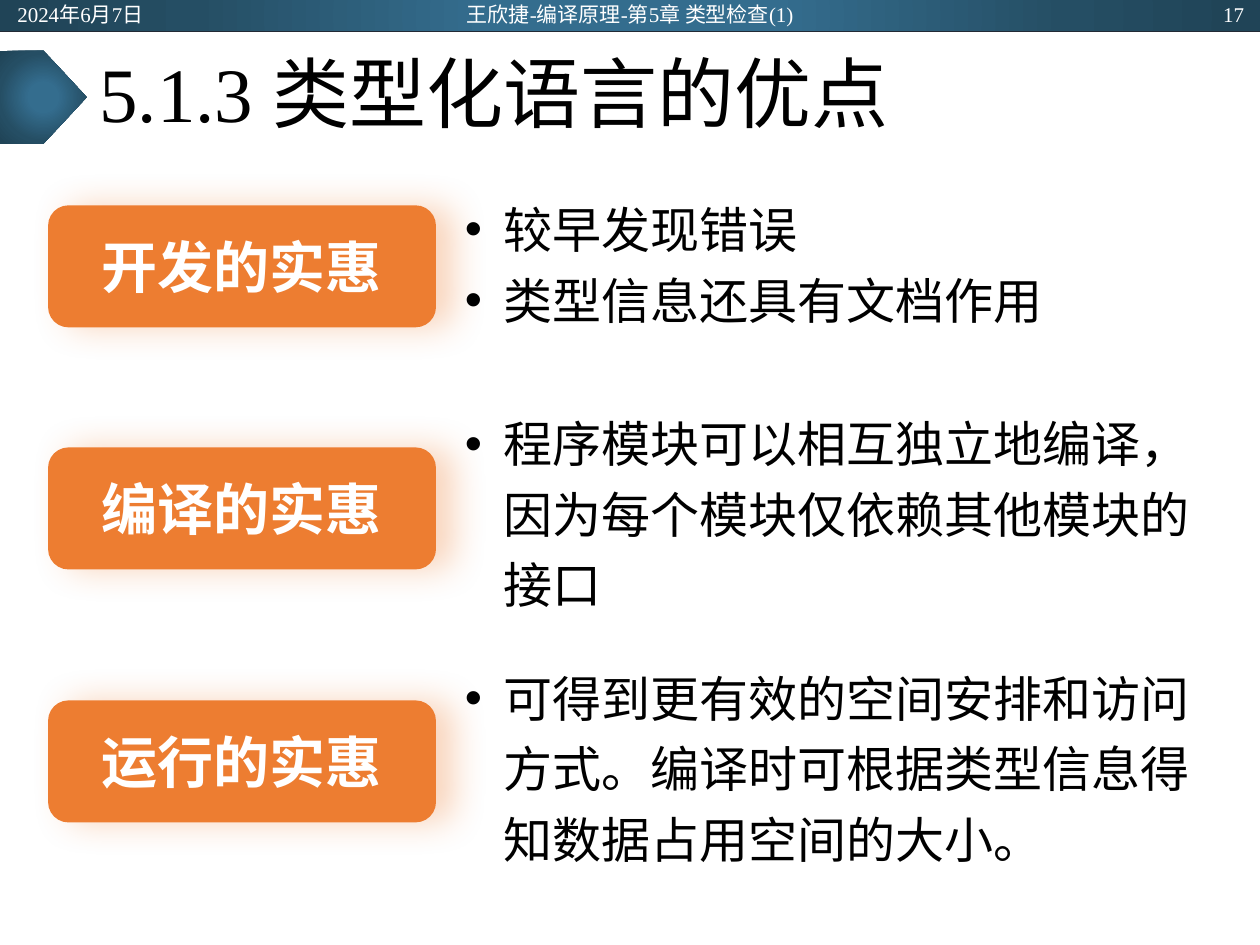
from dataclasses import dataclass

from lxml import etree
from pptx import Presentation
from pptx import util as u
from pptx.dml.color import RGBColor
from pptx.enum import shapes, text
from pptx.oxml import parse_xml
from pptx.oxml.ns import nsdecls, qn

COLORS = {
    "orange": "ED7D31",
    "white": "FFFFFF",
    "black": "000000",
    "rule": "222A35",
}
BLUE_STOPS = {0: "346D8E", 23: "346D8E", 69: "254E64", 97: "204457"}

SERIF, SANS = "Times New Roman", "Arial"
HEADER_FORMAT = {"size": u.Pt(12), "name": SERIF}
TITLE_FORMAT = {"size": u.Pt(44), "name": SERIF}
LABEL_FORMAT = {"size": u.Pt(32), "name": SERIF, "bold": True}
BODY_FORMAT = {"size": u.Pt(28), "name": SANS}
ALIGN = text.PP_ALIGN


@dataclass
class HeaderItem:
    wording: str
    left: float
    width: float
    alignment: text.PP_ALIGN


@dataclass
class Benefit:
    label: str
    label_top: float
    body_top: float
    body_width: float
    body_height: float
    points: tuple[str, ...]


HEADER_ITEMS = (
    HeaderItem("2024年6月7日", 0.1, 5.72, ALIGN.LEFT),
    HeaderItem("王欣捷-编译原理-第5章 类型检查(1)", 8.41, 8.59, ALIGN.CENTER),
    HeaderItem("17", 19.61, 5.72, ALIGN.RIGHT),
)
BENEFITS = (
    Benefit("开发的实惠", 4.14, 3.66, 15.19, 3.4,
            ("较早发现错误", "类型信息还具有文档作用")),
    Benefit("编译的实惠", 9.02, 7.98, 15.34, 4.52,
            ("程序模块可以相互独立地编译，因为每个模块仅依赖其他模块的接口",)),
    Benefit("运行的实惠", 14.12, 13.11, 15.34, 4.52,
            ("可得到更有效的空间安排和访问方式。编译时可根据类型信息得知数据占用空间的大小。",)),
)


def box(*lengths: float) -> list[u.Length]:
    return [u.Cm(length) for length in lengths]


def rgb(color: str) -> RGBColor:
    return RGBColor.from_string(COLORS[color])


def write(paragraph, wording: str, formats: dict, color: str, alignment=ALIGN.LEFT) -> None:
    paragraph.alignment = alignment
    run = paragraph.add_run()
    run.text = wording
    for attribute, value in formats.items():
        setattr(run.font, attribute, value)
    run.font.color.rgb = rgb(color)


def add_plain_shape(slide, kind, *lengths: float):
    """Add a preset shape without outline, fill or shadow."""
    shape = slide.shapes.add_shape(kind, *box(*lengths))
    shape.shadow.inherit = False
    shape.line.fill.background()
    shape.fill.background()
    return shape


def add_blue_shape(slide, kind, *lengths: float) -> None:
    """Add a shape whose blue gradient darkens outwards from its centre."""
    shape = add_plain_shape(slide, kind, *lengths)
    stops = "".join(
        f'<a:gs pos="{position * 1000}"><a:srgbClr val="{color}"/></a:gs>'
        for position, color in BLUE_STOPS.items()
    )
    gradient = parse_xml(
        f'<a:gradFill {nsdecls("a")} rotWithShape="1"><a:gsLst>{stops}</a:gsLst>'
        '<a:path path="circle"><a:fillToRect l="50000" t="50000" r="50000" b="50000"/>'
        "</a:path></a:gradFill>"
    )
    properties = shape._element.spPr
    properties.replace(properties.find(qn("a:noFill")), gradient)


def add_header(slide) -> None:
    add_blue_shape(slide, shapes.MSO_SHAPE.RECTANGLE, 0, 0, 25.4, 0.64)
    rule = slide.shapes.add_connector(
        shapes.MSO_CONNECTOR.STRAIGHT, *box(0, 0.64, 25.4, 0.64))
    rule.line.color.rgb = rgb("rule")
    rule.line.width = u.Pt(0.5)
    etree.SubElement(rule._element.spPr, qn("a:effectLst"))
    for item in HEADER_ITEMS:
        frame = slide.shapes.add_textbox(*box(item.left, 0.03, item.width, 0.51)).text_frame
        frame.word_wrap = True
        frame.vertical_anchor = text.MSO_ANCHOR.MIDDLE
        write(frame.paragraphs[0], item.wording, HEADER_FORMAT, "white", item.alignment)


def add_title(slide, wording: str) -> None:
    add_blue_shape(slide, shapes.MSO_SHAPE.PENTAGON, 0, 1.02, 1.75, 1.88)
    title = slide.shapes.title
    title.left, title.top, title.width, title.height = box(1.75, 0.64, 21.89, 2.64)
    frame = title.text_frame
    frame.auto_size = text.MSO_AUTO_SIZE.NONE
    frame.vertical_anchor = text.MSO_ANCHOR.MIDDLE
    frame.paragraphs[0].line_spacing = 0.9
    write(frame.paragraphs[0], wording, TITLE_FORMAT, "black")


def add_glow_shadow(shape, color: str) -> None:
    shape._element.spPr.find(qn("a:effectLst")).append(parse_xml(
        f'<a:outerShdw {nsdecls("a")} blurRad="{u.Pt(20)}" dist="{u.Pt(10)}" dir="0" '
        f'algn="ctr" rotWithShape="0"><a:srgbClr val="{COLORS[color]}">'
        '<a:alpha val="32000"/></a:srgbClr></a:outerShdw>'
    ))


def add_bullet(paragraph) -> None:
    properties = paragraph._p.get_or_add_pPr()
    properties.set("marL", str(u.Cm(0.79)))
    properties.set("indent", str(-u.Cm(0.79)))
    etree.SubElement(properties, qn("a:buFont"), typeface=SANS)
    etree.SubElement(properties, qn("a:buChar"), char="•")


def add_benefit(slide, benefit: Benefit) -> None:
    rounded = shapes.MSO_SHAPE.ROUNDED_RECTANGLE
    label = add_plain_shape(slide, rounded, 0.97, benefit.label_top, 7.82, 2.46)
    label.fill.solid()
    label.fill.fore_color.rgb = rgb("orange")
    add_glow_shadow(label, "orange")
    write(label.text_frame.paragraphs[0], benefit.label, LABEL_FORMAT, "white", ALIGN.CENTER)

    body = add_plain_shape(slide, rounded, 9.12, benefit.body_top,
                           benefit.body_width, benefit.body_height)
    body.adjustments[0] = 0
    frame = body.text_frame
    frame.vertical_anchor = text.MSO_ANCHOR.TOP
    for index, point in enumerate(benefit.points):
        paragraph = frame.add_paragraph() if index else frame.paragraphs[0]
        add_bullet(paragraph)
        paragraph.line_spacing = 1.2
        write(paragraph, point, BODY_FORMAT, "black")


def main() -> None:
    presentation = Presentation()
    presentation.slide_width, presentation.slide_height = box(25.4, 19.05)
    slide = presentation.slides.add_slide(presentation.slide_layouts[5])
    add_header(slide)
    add_title(slide, "5.1.3 类型化语言的优点")
    for benefit in BENEFITS:
        add_benefit(slide, benefit)
    presentation.save("out.pptx")


if __name__ == "__main__":
    main()
